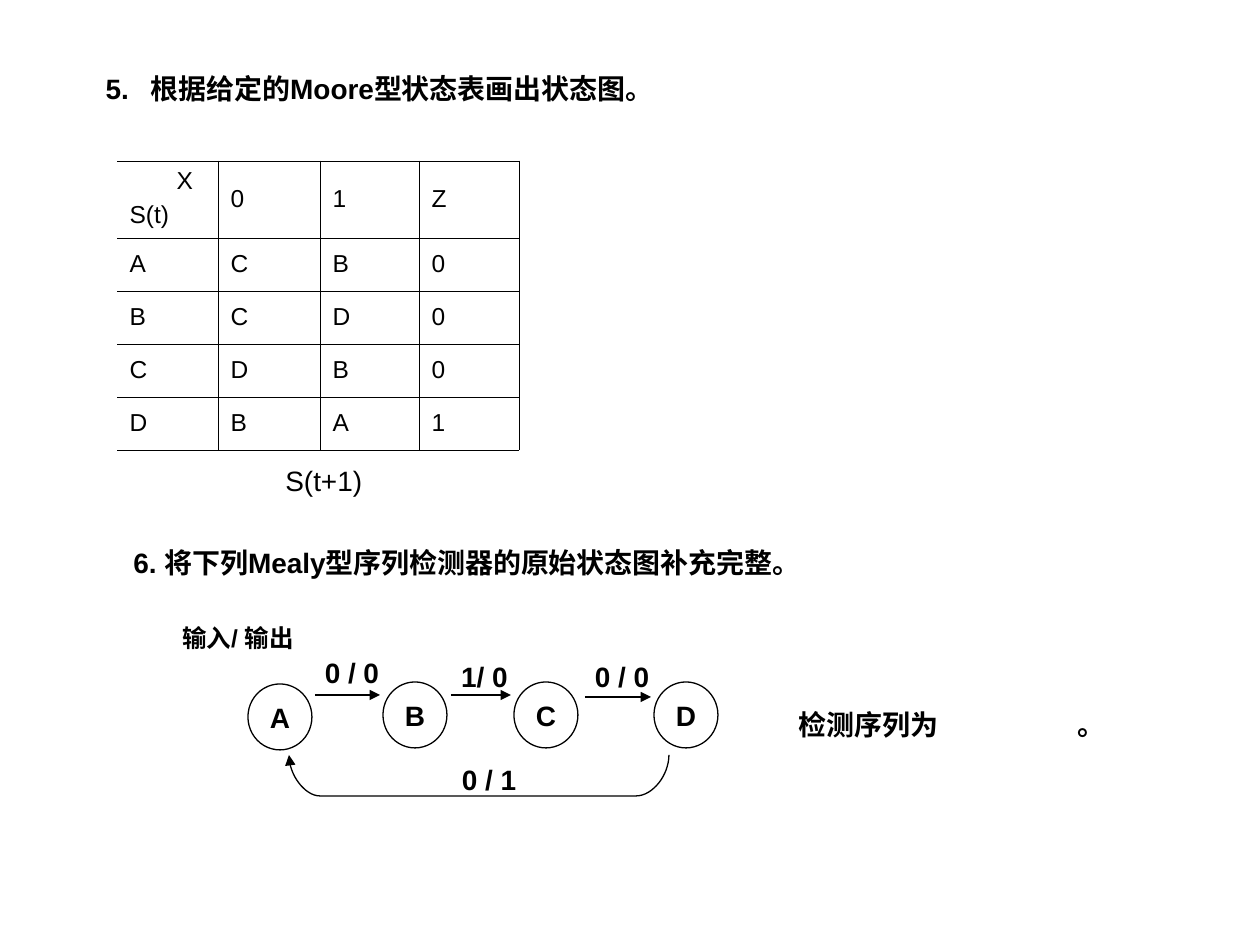
"""Build an exercise slide with a Moore state table and a Mealy state graph."""
import pptx
import pptx.dml.color
import pptx.enum.shapes
import pptx.enum.text
import pptx.oxml
import pptx.oxml.ns
import pptx.util

SCALE = 914400 // 126
BLACK = pptx.dml.color.RGBColor(0, 0, 0)
ALIGN = pptx.enum.text.PP_ALIGN
ANCHOR = pptx.enum.text.MSO_ANCHOR
FIT = pptx.enum.text.MSO_AUTO_SIZE
SHAPE = pptx.enum.shapes.MSO_SHAPE
LINE = pptx.enum.shapes.MSO_CONNECTOR.STRAIGHT
NS = pptx.oxml.ns.nsdecls("a")
ROWS = ["01Z", "ACB0", "BCD0", "CDB0", "DBA1"]


def px(*nums):
    return [pptx.util.Emu(num * SCALE) for num in nums]


def node(xml):
    return pptx.oxml.parse_xml(xml)


def add_run(para, text, size=16, bold=True, under=None):
    run = para.add_run()
    run.text = text
    font = run.font
    font.name, font.size, font.bold = "Arial", pptx.util.Pt(size), bold
    font.underline = under
    font.color.rgb = BLACK


def set_tab(para, pos):
    props = para._p.get_or_add_pPr()
    props.append(node(f'<a:tabLst {NS}><a:tab pos="{pos * SCALE}" algn="l"/></a:tabLst>'))


def set_frame(shape, align=ALIGN.CENTER, anchor=ANCHOR.TOP, wrap=True):
    frame = shape.text_frame
    frame.word_wrap = wrap
    frame.auto_size = FIT.NONE
    frame.vertical_anchor = anchor
    frame.margin_left = frame.margin_right = pptx.util.Inches(0.1)
    frame.margin_top = frame.margin_bottom = pptx.util.Inches(0.05)
    para = frame.paragraphs[0]
    para.alignment = align
    return para


def add_text(slide, box, text, size=16, bold=True, align=ALIGN.CENTER):
    para = set_frame(slide.shapes.add_textbox(*px(*box)), align)
    add_run(para, text, size, bold)


def add_title(slide):
    title = slide.shapes.title
    title.left, title.top, title.width, title.height = px(93, 65, 683, 46)
    para = set_frame(title, ALIGN.LEFT, ANCHOR.MIDDLE)
    set_tab(para, 45)
    add_run(para, "5.\t根据给定的Moore型状态表画出状态图。")


def add_blank(slide):
    shape = slide.shapes.add_textbox(*px(760, 701, 387, 46))
    para = set_frame(shape, ALIGN.LEFT)
    shape.text_frame.margin_left = px(39)[0]
    set_tab(para, 279)
    add_run(para, "检测序列为")
    add_run(para, "\t", under=True)
    add_run(para, "。")


def set_edges(cell, first):
    props = cell._tc.get_or_add_tcPr()
    solid = '<a:solidFill><a:srgbClr val="000000"/></a:solidFill>'
    for side in "LRTB":
        fill = "<a:noFill/>" if first and side == "L" else solid
        props.append(node(f'<a:ln{side} {NS} w="5715">{fill}</a:ln{side}>'))
    cell.fill.background()


def fill_head(cell):
    cell.vertical_anchor = ANCHOR.TOP
    top = cell.text_frame.paragraphs[0]
    top._p.get_or_add_pPr().set("marL", str(47 * SCALE))
    add_run(top, "X", 14, False)
    low = cell.text_frame.add_paragraph()
    low.space_before = pptx.util.Pt(3.5)
    add_run(low, "S(t)", 14, False)


def add_table(slide):
    table = slide.shapes.add_table(5, 4, *px(117, 161, 402, 289)).table
    table.first_row = table.horz_banding = False
    for col, width in zip(table.columns, px(101, 102, 99, 100)):
        col.width = width
    for row, height in zip(table.rows, px(77, 53, 53, 53, 53)):
        row.height = height
    for i, text in enumerate(ROWS):
        for j, mark in enumerate(text, 4 - len(text)):
            cell = table.cell(i, j)
            cell.vertical_anchor = ANCHOR.MIDDLE
            add_run(cell.text_frame.paragraphs[0], mark, 14, False)
        for j in range(4):
            set_edges(table.cell(i, j), j == 0)
    fill_head(table.cell(0, 0))


def set_line(shape, arrow=False):
    shape.line.color.rgb = BLACK
    shape.line.width = pptx.util.Pt(0.75)
    if arrow:
        shape.line._get_or_add_ln().append(node(f'<a:tailEnd {NS} type="triangle"/>'))


def add_state(slide, left, top, name):
    shape = slide.shapes.add_shape(SHAPE.OVAL, *px(left, top, 64, 66))
    shape.shadow.inherit = False
    shape.fill.background()
    set_line(shape)
    add_run(set_frame(shape, anchor=ANCHOR.MIDDLE, wrap=False), name)


def add_arrow(slide, left, right, y):
    line = slide.shapes.add_connector(LINE, *px(left, y, right, y))
    set_line(line, True)
    line._element.spPr.append(node(f"<a:effectLst {NS}/>"))


def curve(a, b, c, d, steps=16):
    for i in range(steps + 1):
        t = i / steps
        u = 1 - t
        yield tuple(
            round((u**3 * p + 3 * u * u * t * q + 3 * u * t * t * r + t**3 * s) * SCALE)
            for p, q, r, s in zip(a, b, c, d)
        )


def add_loop(slide):
    right = curve((669, 755), (669, 775), (653, 796), (636, 796))
    left = curve((320, 796), (305, 796), (289, 775), (289, 755))
    start, *rest = [*right, *left]
    build = slide.shapes.build_freeform(*start)
    build.add_line_segments(rest, close=False)
    shape = build.convert_to_shape()
    shape.shadow.inherit = False
    shape.fill.background()
    set_line(shape, True)


def add_graph(slide):
    for left, top, name in [(248, 684, "A"), (383, 682, "B"), (514, 682, "C"), (654, 682, "D")]:
        add_state(slide, left, top, name)
    for left, right, y in [(315, 380, 695), (451, 511, 695), (585, 651, 697)]:
        add_arrow(slide, left, right, y)
    add_loop(slide)
    for box, text in [
        ((302, 649, 100, 46), "0 / 0"),
        ((446, 653, 77, 46), "1/ 0"),
        ((579, 653, 86, 46), "0 / 0"),
        ((446, 756, 86, 46), "0 / 1"),
    ]:
        add_text(slide, box, text)
    add_text(slide, (159, 617, 158, 43), "输入/ 输出", 14)


def main():
    deck = pptx.Presentation()
    deck.slide_width, deck.slide_height = px(1260, 945)
    slide = deck.slides.add_slide(deck.slide_layouts[5])
    add_title(slide)
    add_table(slide)
    add_text(slide, (273, 457, 108, 46), "S(t+1)", bold=False, align=ALIGN.LEFT)
    add_text(slide, (121, 539, 935, 46), "6. 将下列Mealy型序列检测器的原始状态图补充完整。", align=ALIGN.LEFT)
    add_graph(slide)
    add_blank(slide)
    deck.save("out.pptx")


if __name__ == "__main__":
    main()
